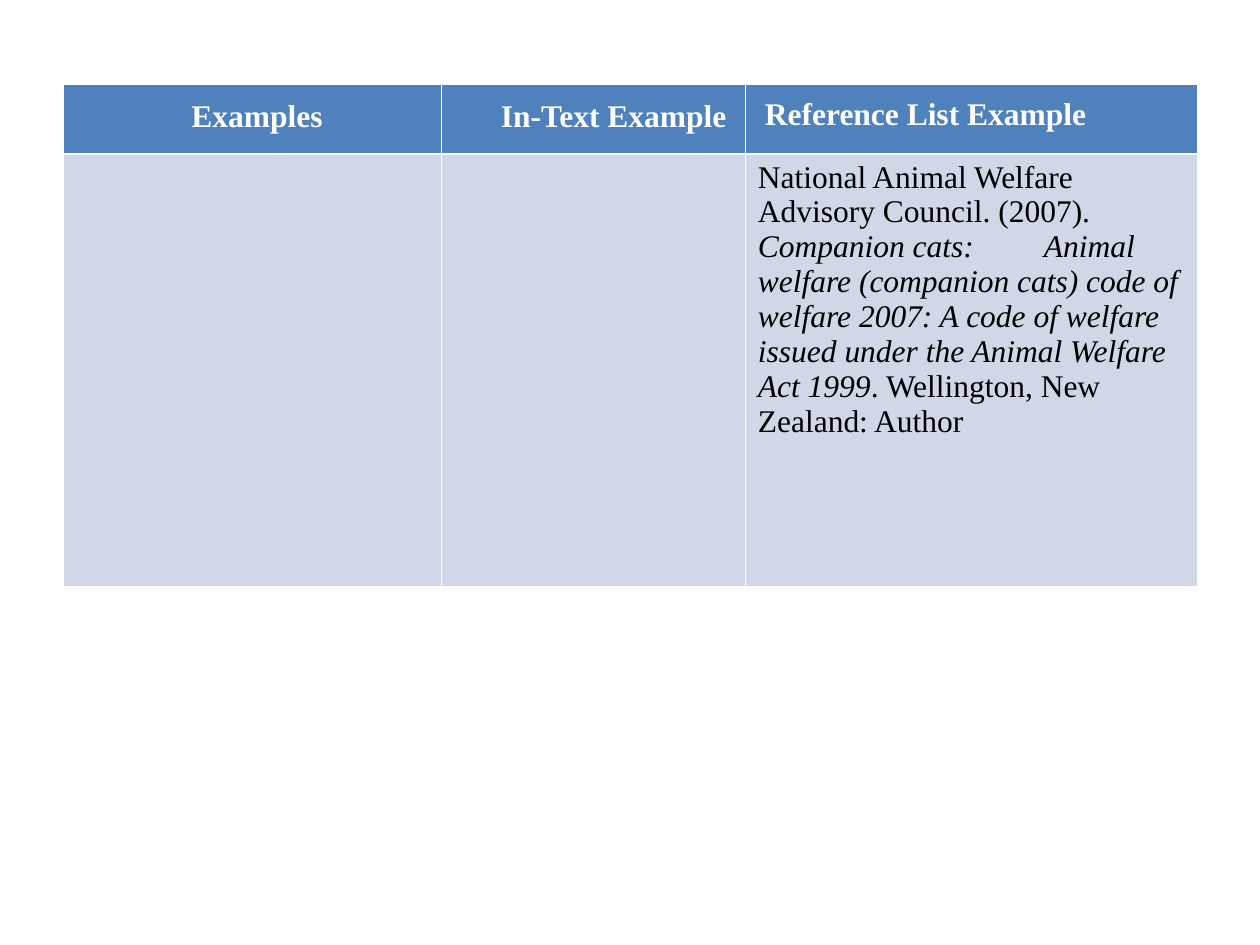
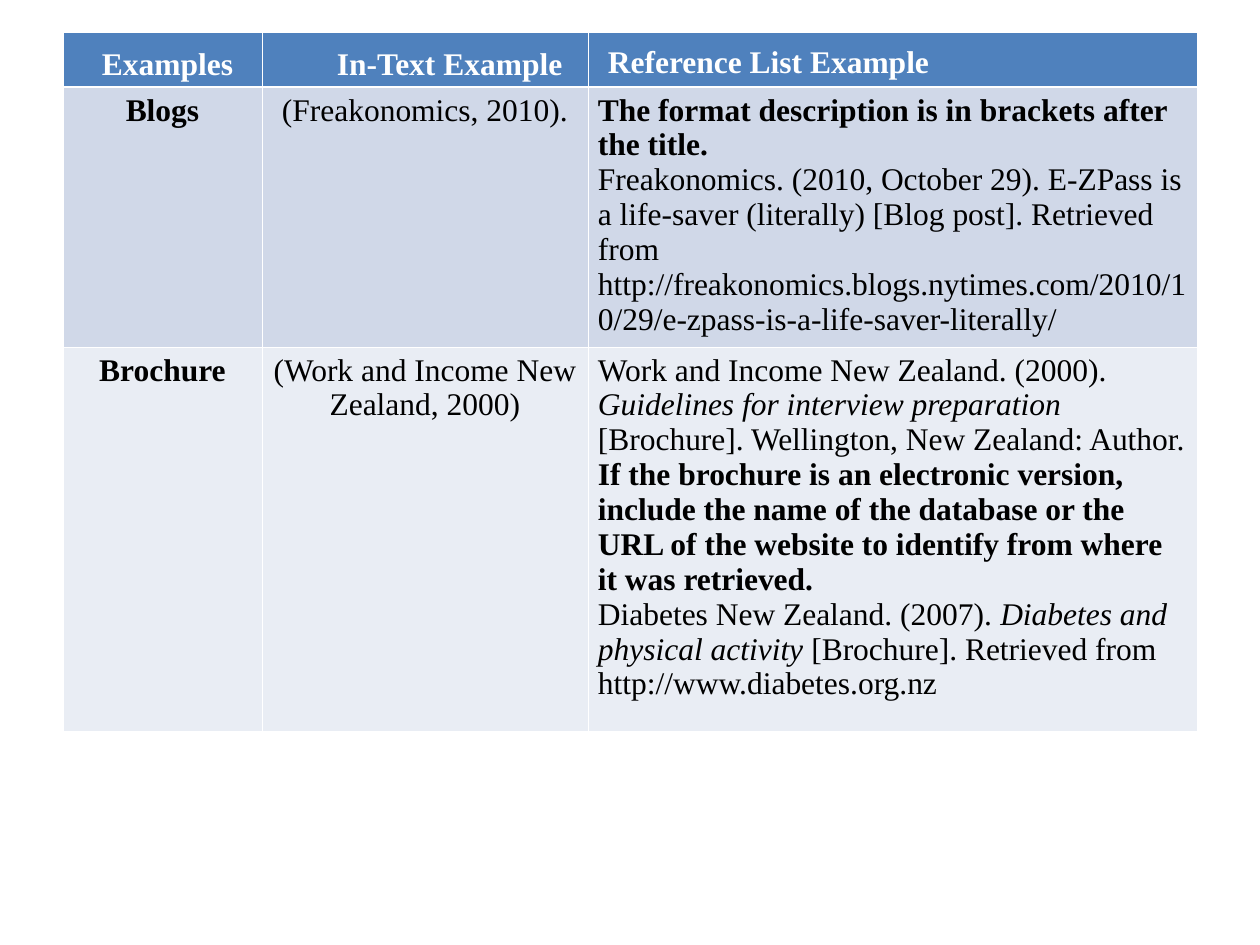
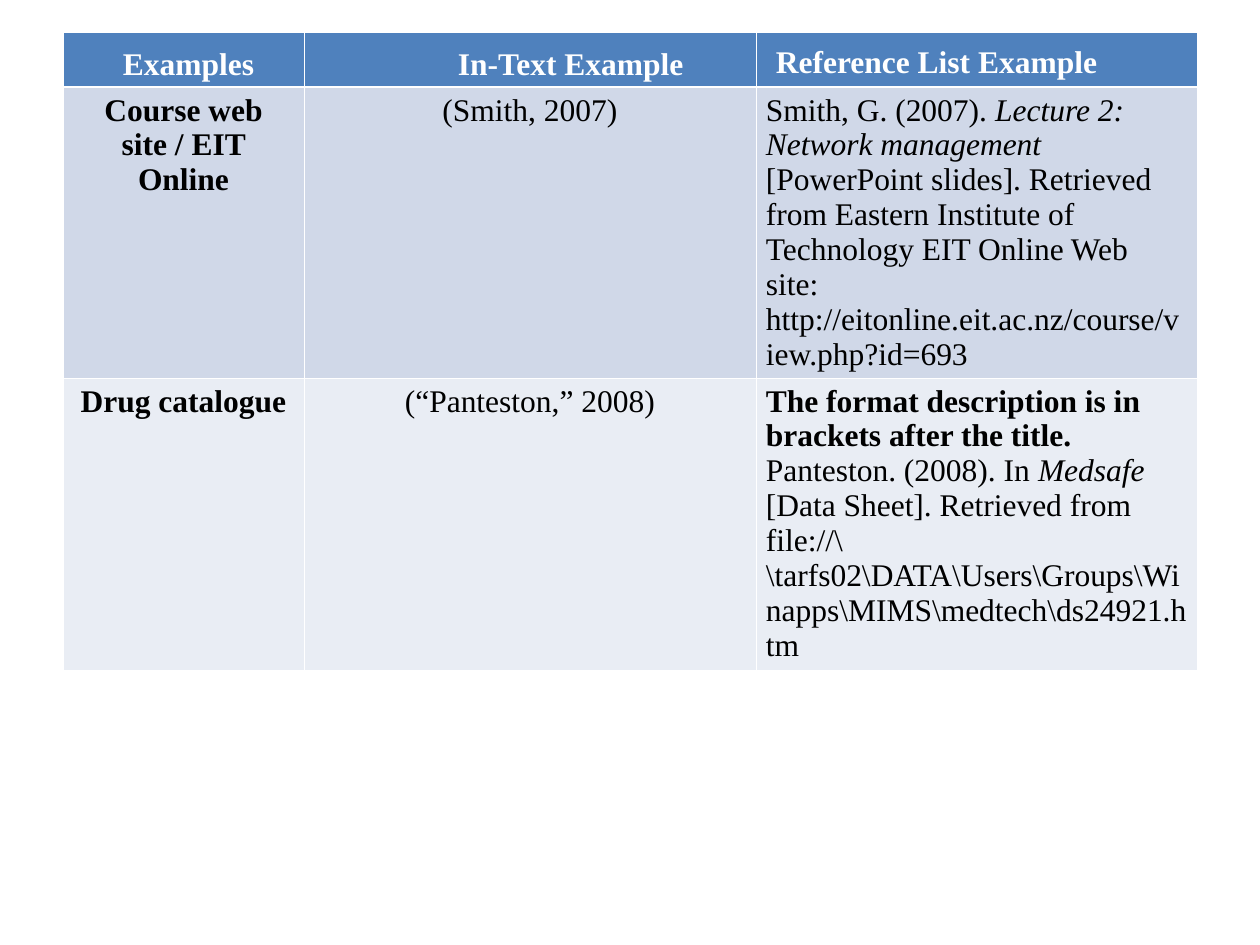
from lxml.etree import SubElement
from pptx import Presentation
from pptx.dml.color import RGBColor
from pptx.enum.text import MSO_ANCHOR, PP_ALIGN
from pptx.oxml import parse_xml
from pptx.oxml.ns import nsdecls, qn
from pptx.util import Emu, Pt

COLORS = {"head": "4F81BD", "odd": "D0D8E8", "even": "E9EDF4",
          "white": "FFFFFF", "ink": "000000"}
FONT = "Times New Roman"
LEFT = 63
PAD = 10
THIN, THICK = 0.45, 1.47
HEADS = ["Examples", "In-Text Example", "Reference List Example"]
FORMAT = "The format description is in brackets after the title."


def px(num):
    """Turn pixels into EMU."""
    return Emu(round(num * 914400 / 126))


def write(para, text, color="ink", bold=False, italic=False):
    """Add a run of text with its format."""
    run = para.add_run()
    run.text = text
    font = run.font
    font.name, font.size = FONT, Pt(18)
    font.bold, font.italic = bold, italic
    font.color.rgb = RGBColor.from_string(COLORS[color])


def set_tab(para, stop):
    """Give a paragraph one left tab stop."""
    tabs = SubElement(para._p.get_or_add_pPr(), qn("a:tabLst"))
    SubElement(tabs, qn("a:tab"), pos=str(px(stop)), algn="l")


def style(cell, fill, top, base):
    """Fill a cell and draw its four white borders."""
    cell.fill.solid()
    cell.fill.fore_color.rgb = RGBColor.from_string(COLORS[fill])
    props = cell._tc.get_or_add_tcPr()
    sides = {"L": THIN, "R": THIN, "T": top, "B": base}
    for spot, (side, width) in enumerate(sides.items()):
        props.insert(spot, parse_xml(
            f'<a:ln{side} {nsdecls("a")} w="{Pt(width)}"><a:solidFill>'
            f'<a:srgbClr val="{COLORS["white"]}"/></a:solidFill></a:ln{side}>'))


def inset(cell, left, top, right, base):
    """Set the margins of a cell, with its text at the top."""
    cell.margin_left, cell.margin_top = px(left), px(top)
    cell.margin_right, cell.margin_bottom = px(right), px(base)
    cell.vertical_anchor = MSO_ANCHOR.TOP


def add_head(table, shift):
    """Write the header row, with the middle label moved right by shift."""
    for col, (text, left) in enumerate(zip(HEADS, (20, shift, 20))):
        cell = table.cell(0, col)
        style(cell, "head", THIN, THICK)
        last = col == 2
        inset(cell, left, 27 if last else 28, PAD, 5)
        para = cell.text_frame.paragraphs[0]
        para.alignment = PP_ALIGN.LEFT if col else PP_ALIGN.CENTER
        para.line_spacing = Pt(12 if last else 12.5)
        write(para, text, color="white", bold=True)


def add_body(cell, paras, align, pad, stop):
    """Write paragraphs made of (text, mark) runs into a body cell."""
    inset(cell, pad, 6, pad, 6)
    frame = cell.text_frame
    for num, runs in enumerate(paras):
        para = frame.add_paragraph() if num else frame.paragraphs[0]
        para.alignment = align
        if stop:
            set_tab(para, stop)
        for text, mark in runs:
            write(para, text, bold=mark == "b", italic=mark == "i")


def add_grid(deck, top, cols, rows, shift, items, pad=PAD, stop=None):
    """Add a slide with one table of citation examples."""
    slide = deck.slides.add_slide(deck.slide_layouts[6])
    table = slide.shapes.add_table(
        len(rows), len(cols), px(LEFT), px(top),
        px(sum(cols)), px(sum(rows))).table
    table.horz_banding = False
    for col, width in zip(table.columns, cols):
        col.width = px(width)
    for row, height in zip(table.rows, rows):
        row.height = px(height)
    add_head(table, shift)
    for num, (name, cite, paras) in enumerate(items, 1):
        cells = [[[(name, "b")]] if name else [],
                 [[(cite, "")]] if cite else [], paras]
        for col, body in enumerate(cells):
            cell = table.cell(num, col)
            style(cell, "odd" if num % 2 else "even",
                  THICK if num == 1 else THIN, THIN)
            align = PP_ALIGN.LEFT if col == 2 else PP_ALIGN.CENTER
            add_body(cell, body, align, pad, stop)


def main():
    """Build the deck and save it."""
    deck = Presentation()
    deck.slide_width, deck.slide_height = px(1260), px(945)

    add_grid(deck, 84, [378, 304, 452], [70, 432], 60, [
        ("", "", [[
            ("National Animal Welfare Advisory Council. (2007). ", ""),
            ("Companion cats:\tAnimal welfare (companion cats) code of "
             "welfare 2007: A code of welfare issued under the Animal "
             "Welfare Act 1999", "i"),
            (". Wellington, New Zealand: Author", "")]]),
    ], pad=13, stop=286)

    add_grid(deck, 32, [199, 326, 609], [55, 260, 384], 75, [
        ("Blogs", "(Freakonomics, 2010).", [
            [(FORMAT, "b")],
            [("Freakonomics. (2010, October 29). E-ZPass is a life-saver "
              "(literally) [Blog post]. Retrieved from "
              "http://freakonomics.blogs.nytimes.com/2010/10/29/"
              "e-zpass-is-a-life-saver-literally/", "")]]),
        ("Brochure", "(Work and Income New Zealand, 2000)", [
            [("Work and Income New Zealand. (2000). ", ""),
             ("Guidelines for interview preparation ", "i"),
             ("[Brochure]. Wellington, New Zealand: Author.", "")],
            [("If the brochure is an electronic version, include the name "
              "of the database or the URL of the website to identify from "
              "where it was retrieved.", "b")],
            [("Diabetes New Zealand. (2007). ", ""),
             ("Diabetes and physical activity ", "i"),
             ("[Brochure]. Retrieved from http://www.diabetes.org.nz", "")]]),
    ])

    add_grid(deck, 32, [241, 452, 441], [55, 291, 292], 154, [
        ("Course web site / EIT Online", "(Smith, 2007)", [[
            ("Smith, G. (2007). ", ""),
            ("Lecture 2: Network management ", "i"),
            ("[PowerPoint slides]. Retrieved from Eastern Institute of "
             "Technology EIT Online Web site: "
             "http://eitonline.eit.ac.nz/course/view.php?id=693", "")]]),
        ("Drug catalogue", "(“Panteston,” 2008)", [
            [(FORMAT, "b")],
            [("Panteston. (2008). In ", ""),
             ("Medsafe ", "i"),
             ("[Data Sheet]. Retrieved from "
              r"file://\\tarfs02\DATA\Users\Groups\Winapps\MIMS\medtech"
              r"\ds24921.htm", "")]]),
    ])
    deck.save("out.pptx")


if __name__ == "__main__":
    main()
